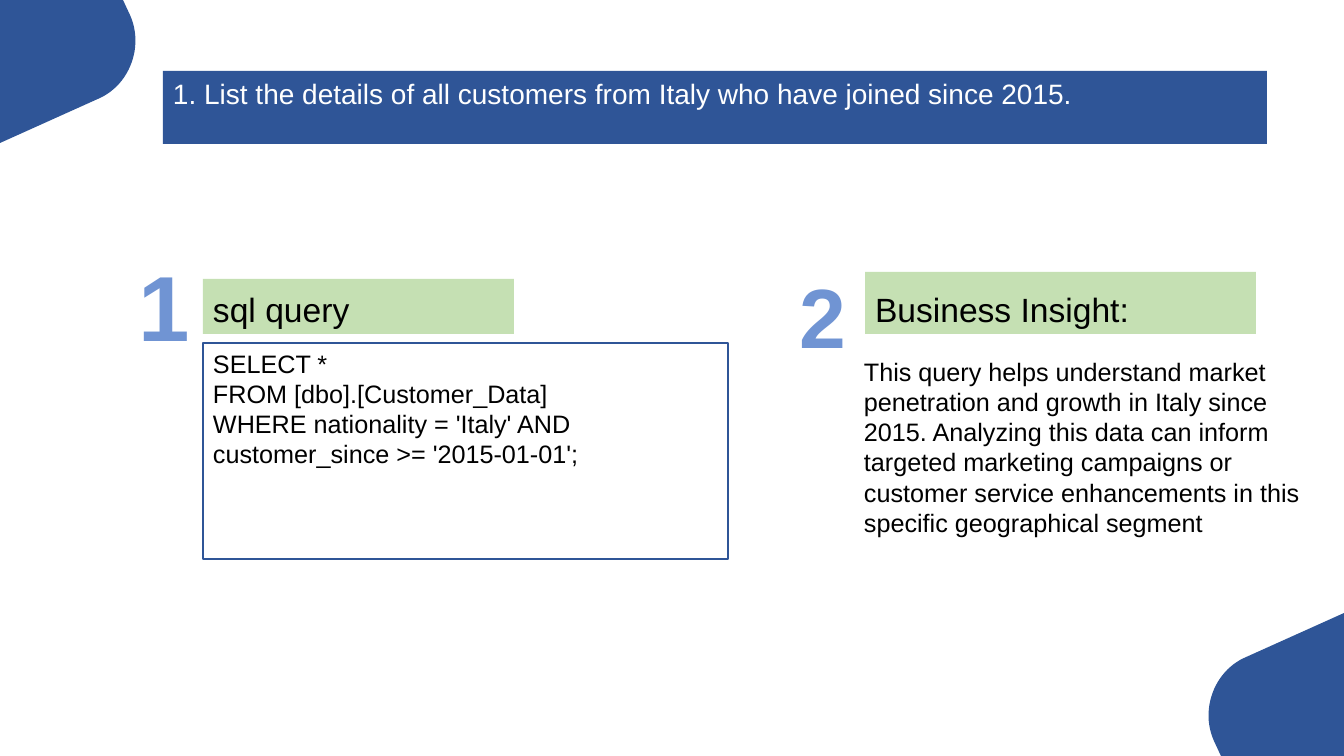
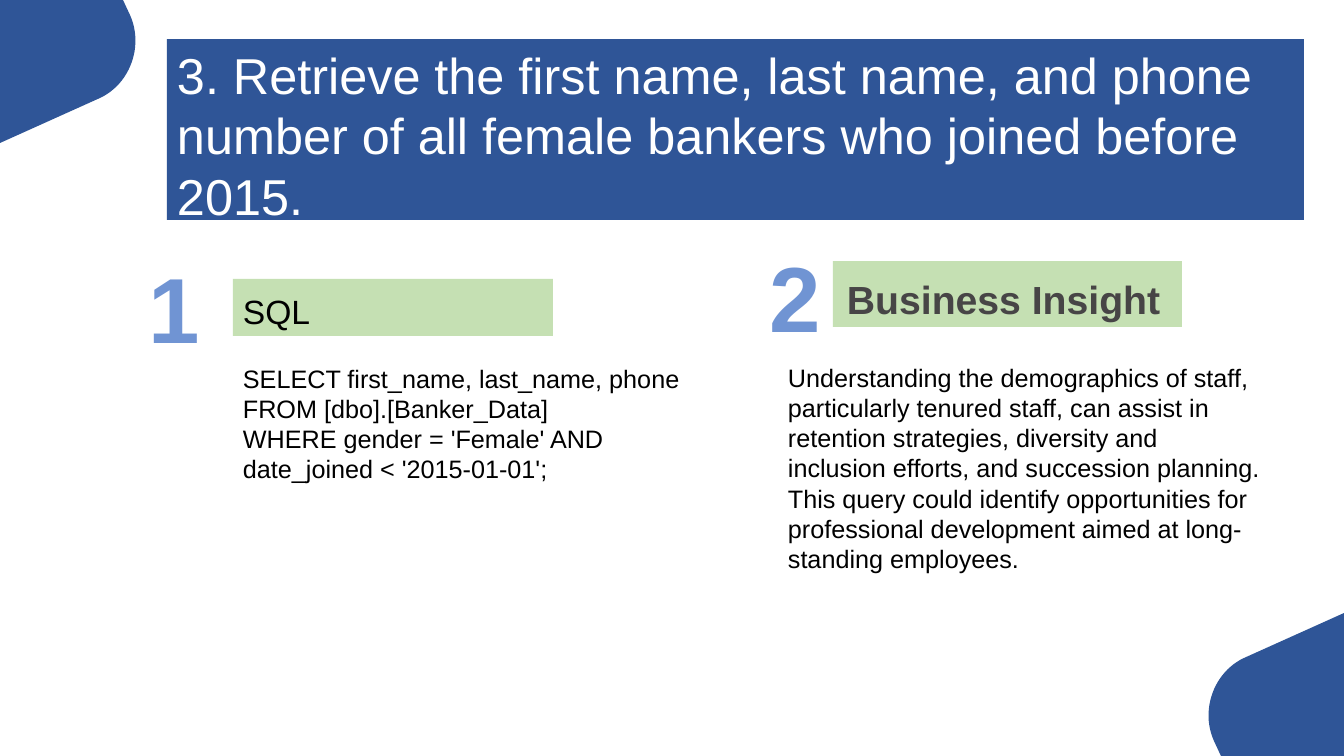
from pptx import Presentation, util as u
from pptx.dml.color import RGBColor
from pptx.enum import shapes, text

PX = 914400 / 100.8
FINE = 100
WIDE, HIGH = 1344, 756
BLUE, GREEN, PALE, GREY = "2F5597", "C5E0B3", "7094D3", "474546"
BLACK, WHITE = "000000", "FFFFFF"
TOP, BOTTOM = text.MSO_ANCHOR.TOP, text.MSO_ANCHOR.BOTTOM

slides = [
    dict(
        title="1. List the details of all customers from Italy who have joined since 2015.",
        band=(163, 71, 1104, 73), size=20,
        marks=[("1", (129, 244, 117, 163), 66), ("2", (789, 260, 191, 91), 60)],
        heads=[("sql query", (203, 279, 311, 55), {}),
               ("Business Insight:", (865, 272, 391, 62), {})],
        bodies=[("SELECT *\nFROM [dbo].[Customer_Data]\n"
                 "WHERE nationality = 'Italy' AND customer_since >= '2015-01-01';",
                 (203, 343, 525, 216), dict(line=BLUE)),
                ("This query helps understand market penetration and growth in Italy "
                 "since 2015. Analyzing this data can inform targeted marketing campaigns "
                 "or customer service enhancements in this specific geographical segment",
                 (854, 351, 479, 277), {})],
    ),
    dict(
        title="3. Retrieve the first name, last name, and phone number of all female "
              "bankers who joined before 2015.",
        band=(167, 39, 1137, 181), size=36,
        marks=[("1", (139, 246, 207, 122), 66), ("2", (760, 235, 207, 122), 66)],
        heads=[("SQL", (233, 279, 320, 57), {}),
               ("Business Insight", (833, 261, 349, 66),
                dict(size=28, color=GREY, bold=True, left=14))],
        bodies=[("SELECT first_name, last_name, phone\nFROM [dbo].[Banker_Data]\n"
                 "WHERE gender = 'Female' AND date_joined < '2015-01-01';",
                 (233, 358, 457, 181), {}),
                ("Understanding the demographics of staff, particularly tenured staff, can "
                 "assist in retention strategies, diversity and inclusion efforts, and "
                 "succession planning. This query could identify opportunities for "
                 "professional development aimed at long-standing employees.",
                 (778, 357, 492, 251), {})],
    ),
]


def rgb(code):
    return RGBColor.from_string(code)


def write(shape, words, box, size=18, color=BLACK, bold=False, anchor=TOP,
          fill=None, line=None, left=10):
    """Place a shape, paint it and set its text, one paragraph per line."""
    shape.left, shape.top, shape.width, shape.height = [round(n * PX) for n in box]
    if fill:
        shape.fill.solid()
        shape.fill.fore_color.rgb = rgb(fill)
    if line:
        shape.line.color.rgb = rgb(line)
        shape.line.width = u.Pt(1)
    frame = shape.text_frame
    frame.word_wrap = True
    frame.auto_size = text.MSO_AUTO_SIZE.NONE
    frame.vertical_anchor = anchor
    frame.margin_left = round(left * PX)
    frame.text = words
    for para in frame.paragraphs:
        para.alignment = text.PP_ALIGN.LEFT
        font = para.font
        font.name, font.size, font.bold = "Arial", u.Pt(size), bold
        font.color.rgb = rgb(color)


# Outline of the top left corner, its round end drawn as a Bezier curve
knots = [(130, 15), (144, 46), (130, 84), (100, 98)]
curve = []
for step in range(25):
    t = step / 24
    parts = [(1 - t) ** 3, 3 * t * (1 - t) ** 2, 3 * t ** 2 * (1 - t), t ** 3]
    curve.append(tuple(sum(w * k[axis] for w, k in zip(parts, knots)) for axis in (0, 1)))
corner = [(0, 0), (123, 0), *curve, (0, 143)]
turned = [(WIDE - x, HIGH - y) for x, y in corner]

deck = Presentation()
deck.slide_width, deck.slide_height = round(WIDE * PX), round(HIGH * PX)

for item in slides:
    page = deck.slides.add_slide(deck.slide_layouts[5])
    tree = page.shapes
    for outline in (corner, turned):
        points = [(round(x * FINE), round(y * FINE)) for x, y in outline]
        pen = tree.build_freeform(*points[0], scale=PX / FINE)
        pen.add_line_segments(points[1:], close=True)
        shape = pen.convert_to_shape()
        shape.fill.solid()
        shape.fill.fore_color.rgb = rgb(BLUE)
        shape.line.fill.background()
        shape.shadow.inherit = False

    write(tree.title, item["title"], item["band"], size=item["size"], color=WHITE, fill=BLUE)
    for words, box, size in item["marks"]:
        write(tree.add_textbox(0, 0, 0, 0), words, box, size=size, color=PALE, bold=True)
    for words, box, style in item["heads"]:
        shape = tree.add_shape(shapes.MSO_SHAPE.RECTANGLE, 0, 0, 0, 0)
        shape.shadow.inherit = False
        shape.line.fill.background()
        write(shape, words, box, **{"size": 24, "anchor": BOTTOM, "fill": GREEN, **style})
    for words, box, style in item["bodies"]:
        write(tree.add_textbox(0, 0, 0, 0), words, box, **style)

deck.save("out.pptx")
